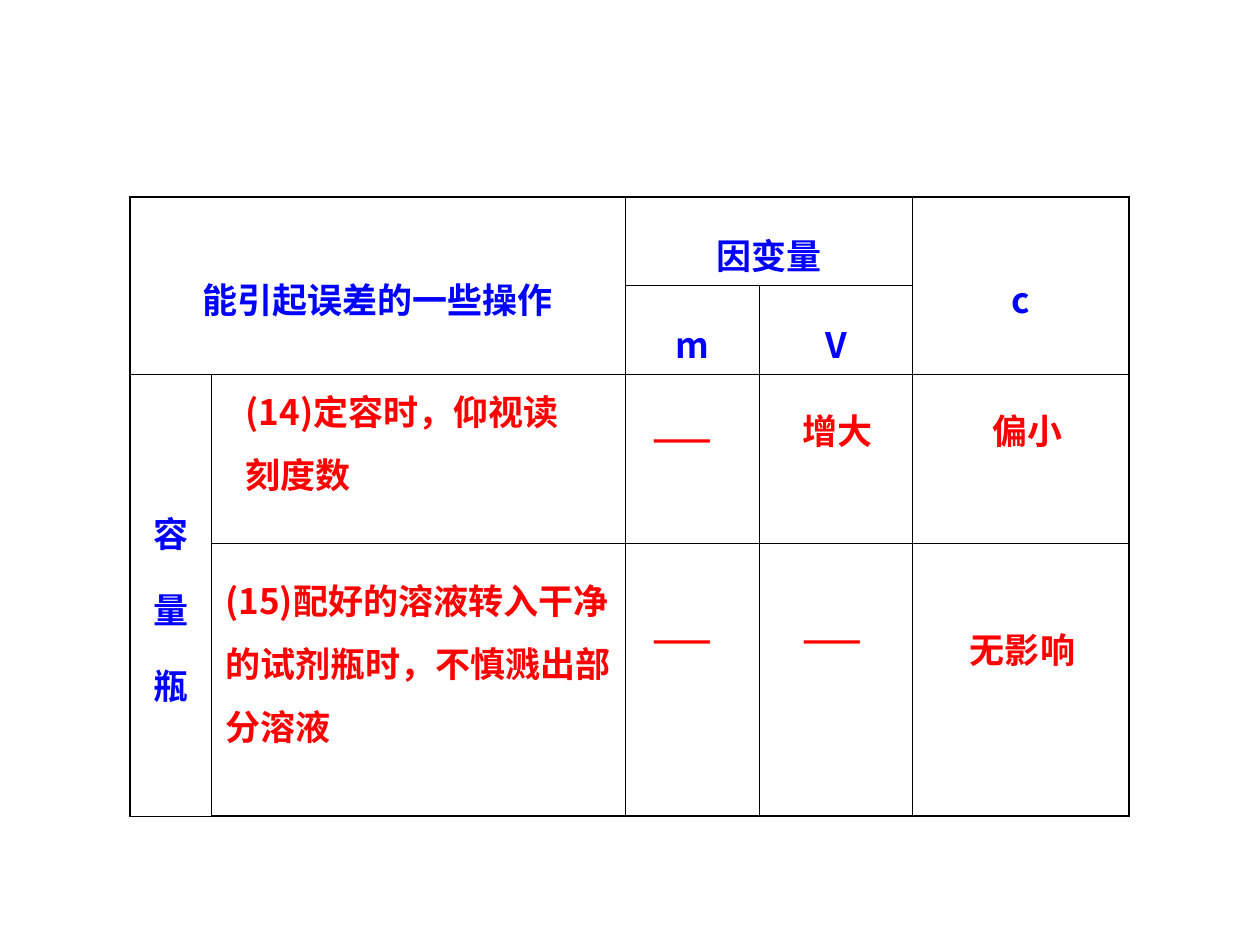
"""Build a slide with a table of volumetric flask errors and their effects."""
from lxml import etree
from pptx import Presentation
from pptx import util as u
from pptx.dml.color import RGBColor
from pptx.enum import text
from pptx.oxml import ns

COLORS = {"heading": "0000FF", "answer": "FF0000", "border": "000000"}
FONT = "Noto Sans CJK SC"


def write(frame, words, color="answer", spacing=None, align=None):
    para = frame.paragraphs[0]
    para.line_spacing = spacing
    para.alignment = align
    span = para.add_run()
    span.text = words
    span.font.size = u.Pt(20)
    span.font.bold = True
    span.font.name = FONT
    span.font.color.rgb = RGBColor.from_string(COLORS[color])
    etree.SubElement(span.font._element, ns.qn("a:ea"), typeface=FONT)


def add_border(cell, side, width):
    line = etree.SubElement(cell._tc.get_or_add_tcPr(), ns.qn(f"a:ln{side}"), w=str(u.Pt(width)))
    fill = etree.SubElement(line, ns.qn("a:solidFill"))
    etree.SubElement(fill, ns.qn("a:srgbClr"), val=COLORS["border"])


deck = Presentation()
deck.slide_width = u.Pt(720)
deck.slide_height = u.Pt(540)
page = deck.slides.add_slide(deck.slide_layouts[6])

widths = [46.2, 236.5, 77.1, 87.4, 123.6]
heights = [43.3, 43.3, 96.5, 155.7]
table = page.shapes.add_table(
    len(heights), len(widths), u.Pt(74.4), u.Pt(112.5), u.Pt(sum(widths)), u.Pt(sum(heights))
).table
table.first_row = False
table.horz_banding = False
for column, width in zip(table.columns, widths):
    column.width = u.Pt(width)
for row, height in zip(table.rows, heights):
    row.height = u.Pt(height)

last_row, last_column = len(heights) - 1, len(widths) - 1
for r in range(len(heights)):
    for c in range(len(widths)):
        cell = table.cell(r, c)
        outer = {"L": c == 0, "R": c == last_column, "T": r == 0, "B": r == last_row}
        for side, is_outer in outer.items():
            add_border(cell, side, 1.08 if is_outer else 0.45)
        cell.fill.background()
        cell.margin_left = cell.margin_right = u.Pt(5.76)
        cell.margin_top = cell.margin_bottom = u.Pt(3.6)
        cell.vertical_anchor = text.MSO_ANCHOR.MIDDLE

for start, end in [((0, 0), (1, 1)), ((0, 2), (0, 3)), ((0, 4), (1, 4)), ((2, 0), (3, 0))]:
    table.cell(*start).merge(table.cell(*end))

headings = {
    (0, 0): "能引起误差的一些操作",
    (0, 2): "因变量",
    (0, 4): "c",
    (1, 2): "m",
    (1, 3): "V",
    (2, 0): "容量瓶",
}
for place, words in headings.items():
    write(table.cell(*place).text_frame, words, color="heading", spacing=1.5,
          align=text.PP_ALIGN.CENTER)

answers = [
    ("(14)定容时，仰视读刻度数", 133.2, 207.4, 204.5, 79.2, 1.5),
    ("——", 365.8, 234.7, 90.7, 31.7, None),
    ("增大", 451.4, 230.4, 100.8, 31.7, None),
    ("偏小", 560.2, 230.4, 69.8, 31.7, None),
    ("(15)配好的溶液转入干净的试剂瓶时，不慎溅出部分溶液", 121.7, 315.4, 245.5, 115.2, 1.5),
    ("——", 365.8, 349.2, 90.7, 31.7, None),
    ("——", 451.4, 349.2, 90.7, 31.7, None),
    ("无影响", 547.2, 343.4, 133.9, 43.2, 1.5),
]
for words, left, top, width, height, spacing in answers:
    box = page.shapes.add_textbox(u.Pt(left), u.Pt(top), u.Pt(width), u.Pt(height))
    box.text_frame.word_wrap = True
    box.text_frame.auto_size = text.MSO_AUTO_SIZE.SHAPE_TO_FIT_TEXT
    write(box.text_frame, words, spacing=spacing)

deck.save("out.pptx")
